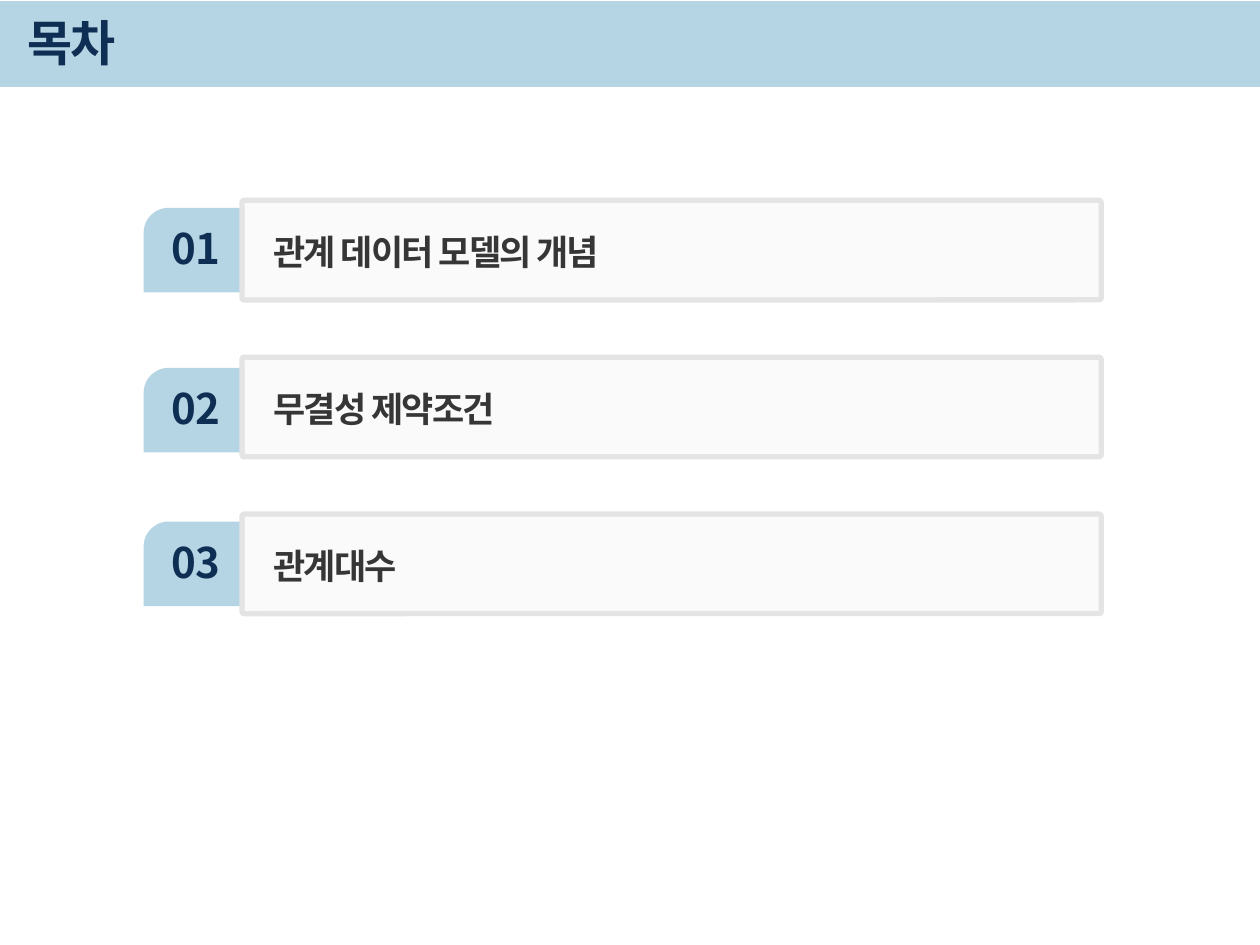
from lxml import etree
from pptx import Presentation
from pptx.dml.color import RGBColor
from pptx.enum.shapes import MSO_SHAPE
from pptx.enum.text import MSO_ANCHOR, PP_ALIGN
from pptx.oxml.ns import qn
from pptx.util import Inches, Pt

RECT = MSO_SHAPE.RECTANGLE
TAB = MSO_SHAPE.SNIP_ROUND_RECTANGLE
PANEL = MSO_SHAPE.ROUNDED_RECTANGLE
TOP, MIDDLE = MSO_ANCHOR.TOP, MSO_ANCHOR.MIDDLE
LEFT, CENTER = PP_ALIGN.LEFT, PP_ALIGN.CENTER

FONT = "Noto Sans CJK KR"
SKY = "B5D5E4"
NAVY = "0F2E53"
CHARCOAL = "363636"
PANEL_FILL = "F2F2F2"
PANEL_EDGE = "E4E4E4"

TOPICS = [
    ("관계 데이터 모델의 개념", 1.65),
    ("무결성 제약조건", 2.92),
    ("관계대수", 4.14),
]
FIRST_PANEL_TOP = 1.59
PANEL_STEP = 1.245


def rgb(color):
    return RGBColor.from_string(color)


def add_block(slide, kind, left, top, width, height, fill, adjustments=()):
    block = slide.shapes.add_shape(
        kind, Inches(left), Inches(top), Inches(width), Inches(height))
    block.shadow.inherit = False
    block.fill.solid()
    block.fill.fore_color.rgb = rgb(fill)
    block.line.fill.background()
    for index, value in enumerate(adjustments):
        block.adjustments[index] = value
    return block


def add_label(slide, text, left, top, width, height, size, color,
              align=LEFT, anchor=TOP, wrap=True, tracking=0, line_spacing=None):
    frame = slide.shapes.add_textbox(
        Inches(left), Inches(top), Inches(width), Inches(height)).text_frame
    frame.word_wrap = wrap
    frame.vertical_anchor = anchor
    paragraph = frame.paragraphs[0]
    paragraph.text = text
    paragraph.alignment = align
    paragraph.line_spacing = line_spacing
    font = paragraph.font
    font.size = Pt(size)
    font.bold = True
    font.color.rgb = rgb(color)
    font.name = FONT
    properties = paragraph._p.pPr.find(qn("a:defRPr"))
    properties.set("spc", str(tracking * 100))
    etree.SubElement(properties, qn("a:ea")).set("typeface", FONT)


def add_panel(slide, top):
    panel = add_block(slide, PANEL, 1.92, top, 6.82, 0.79, PANEL_FILL, [0.023])
    panel.line.color.rgb = rgb(PANEL_EDGE)
    panel.line.width = Pt(3)
    fill_color = panel.fill._xPr.find(qn("a:solidFill"))[0]
    etree.SubElement(fill_color, qn("a:alpha")).set("val", "33000")


def add_topic(slide, number, topic, tab_top, panel_top):
    add_block(slide, TAB, 1.14, tab_top, 0.8, 0.67, SKY, [0.296, 0])
    add_label(slide, f"{number:02}", 1.26, tab_top + 0.07, 0.59, 0.5, 24, NAVY,
              align=CENTER, wrap=False)
    add_panel(slide, panel_top)
    add_label(slide, topic, 2.07, panel_top + 0.16, 5.28, 0.44, 20, CHARCOAL,
              tracking=-1, line_spacing=1.1)


def main():
    deck = Presentation()
    deck.slide_width = Inches(10)
    deck.slide_height = Inches(7.5)
    slide = deck.slides.add_slide(deck.slide_layouts[6])

    add_block(slide, RECT, 0, 0.01, 10, 0.68, SKY)
    add_label(slide, "목차", 0.12, 0.07, 8.51, 0.52, 28, NAVY,
              anchor=MIDDLE, tracking=-1)
    for index, (topic, tab_top) in enumerate(TOPICS):
        add_topic(slide, index + 1, topic, tab_top,
                  FIRST_PANEL_TOP + index * PANEL_STEP)
    deck.save("out.pptx")


if __name__ == "__main__":
    main()
